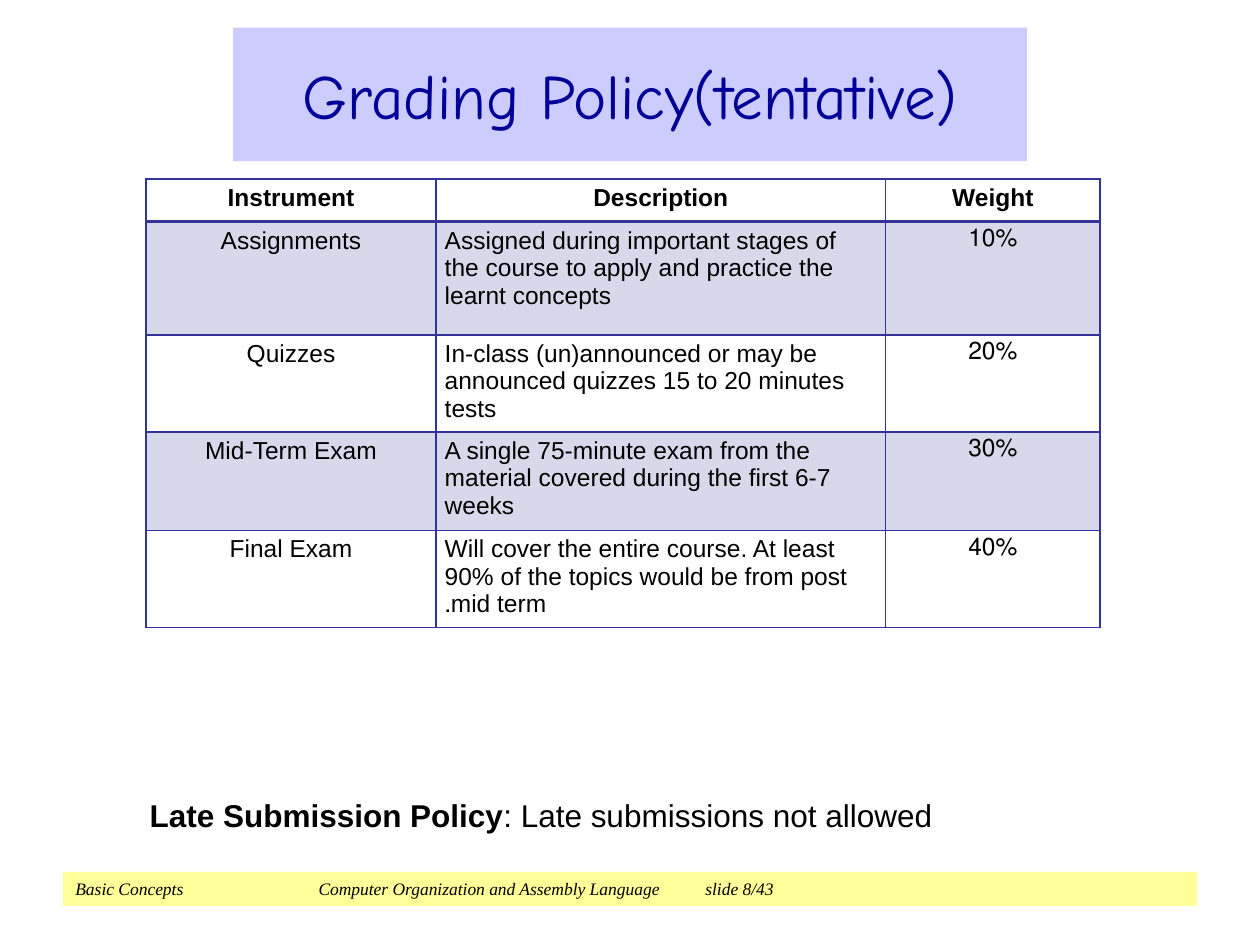
from lxml import etree
from pptx import Presentation
from pptx import util as u
from pptx.dml.color import RGBColor
from pptx.enum import shapes, text
from pptx.oxml.ns import qn

NAVY = "333399"
BLACK = "000000"
CENTER = text.PP_ALIGN.CENTER
LEFT = text.PP_ALIGN.LEFT
COLUMN_WIDTHS = (2.3, 3.57, 1.7)
ROW_HEIGHTS = (0.34, 0.9, 0.77, 0.78, 0.77)
GRADING_ROWS = (
    ("Instrument", "Description", "Weight"),
    ("Assignments", "Assigned during important stages of the course to apply "
     "and practice the learnt concepts", "10%"),
    ("Quizzes", "In-class (un)announced or may be announced quizzes "
     "15 to 20 minutes tests", "20%"),
    ("Mid-Term Exam", "A single 75-minute exam from the material covered "
     "during the first 6-7 weeks", "30%"),
    ("Final Exam", "Will cover the entire course. At least 90% of the topics "
     "would be from post mid term.", "40%"),
)


def color(value):
    return RGBColor.from_string(value)


def format_font(font, name, size, fill=BLACK, bold=False, italic=False):
    font.name = name
    font.size = u.Pt(size)
    font.color.rgb = color(fill)
    font.bold = bold
    font.italic = italic


def fill_solid(shape, value):
    shape.fill.solid()
    shape.fill.fore_color.rgb = color(value)


def add_footer(slide):
    bar = slide.shapes.add_shape(shapes.MSO_SHAPE.RECTANGLE, u.Inches(0.5),
                                 u.Inches(6.92), u.Inches(9), u.Inches(0.27))
    bar.shadow.inherit = False
    fill_solid(bar, "FFFF99")
    bar.line.fill.background()
    bar.text_frame.vertical_anchor = text.MSO_ANCHOR.MIDDLE
    paragraph = bar.text_frame.paragraphs[0]
    paragraph.text = ("Basic Concepts\tComputer Organization and Assembly "
                      "Language\tslide 8/43")
    paragraph.alignment = LEFT
    tab_list = etree.SubElement(paragraph._p.get_or_add_pPr(), qn("a:tabLst"))
    for position in (1.93, 5):
        etree.SubElement(tab_list, qn("a:tab"), pos=str(u.Inches(position)),
                         algn="l")
    for run in paragraph.runs:
        format_font(run.font, "Times New Roman", 10, italic=True)


def format_title(slide):
    title = slide.shapes.title
    title.left, title.top = u.Inches(1.85), u.Inches(0.22)
    title.width, title.height = u.Inches(6.3), u.Inches(1.06)
    fill_solid(title, "CCCCFF")
    title.text_frame.text = "Grading Policy(tentative)"
    title.text_frame.vertical_anchor = text.MSO_ANCHOR.MIDDLE
    paragraph = title.text_frame.paragraphs[0]
    paragraph.alignment = CENTER
    format_font(paragraph.runs[0].font, "Comic Neue", 36, "000099")


def set_borders(cell, top, bottom):
    """Draw all four edges; top and bottom are widths in points."""
    properties = cell._tc.get_or_add_tcPr()
    widths = {"lnL": 1, "lnR": 1, "lnT": top, "lnB": bottom}
    for index, (edge, width) in enumerate(widths.items()):
        line = etree.Element(qn(f"a:{edge}"), w=str(u.Pt(width)))
        fill = etree.SubElement(line, qn("a:solidFill"))
        etree.SubElement(fill, qn("a:srgbClr"), val=NAVY)
        properties.insert(index, line)


def shade(cell):
    """Fill the cell with navy at 19 % opacity."""
    fill_solid(cell, NAVY)
    rgb = cell._tc.tcPr.find(qn("a:solidFill")).find(qn("a:srgbClr"))
    etree.SubElement(rgb, qn("a:alpha"), val="19000")


def fill_cell(cell, wording, row, column):
    cell.margin_left = cell.margin_right = u.Inches(0.07)
    cell.margin_top = cell.margin_bottom = u.Inches(0.04)
    cell.text_frame.text = wording
    paragraph = cell.text_frame.paragraphs[0]
    paragraph.alignment = LEFT if row and column == 1 else CENTER
    if row in (0, 3, 4) or column == 2:
        paragraph._p.get_or_add_pPr().set("rtl", "1")
    format_font(paragraph.runs[0].font, "Arial", 14, bold=row == 0)
    if row % 2:
        shade(cell)
    else:
        cell.fill.background()
    set_borders(cell, 2 if row == 1 else 1, 2 if row == 0 else 1)


def add_grading_table(slide):
    table = slide.shapes.add_table(
        len(ROW_HEIGHTS), len(COLUMN_WIDTHS), u.Inches(1.16), u.Inches(1.42),
        u.Inches(sum(COLUMN_WIDTHS)), u.Inches(sum(ROW_HEIGHTS))).table
    table.first_row = table.horz_banding = False
    for column, width in zip(table.columns, COLUMN_WIDTHS):
        column.width = u.Inches(width)
    for row, height in zip(table.rows, ROW_HEIGHTS):
        row.height = u.Inches(height)
    for row, wordings in enumerate(GRADING_ROWS):
        for column, wording in enumerate(wordings):
            fill_cell(table.cell(row, column), wording, row, column)


def add_late_policy(slide):
    box = slide.shapes.add_textbox(u.Inches(1.09), u.Inches(6.27),
                                   u.Inches(6.47), u.Inches(0.4))
    box.text_frame.word_wrap = True
    paragraph = box.text_frame.paragraphs[0]
    for wording, bold in (("Late Submission Policy", True),
                          (": Late submissions not allowed", False)):
        run = paragraph.add_run()
        run.text = wording
        format_font(run.font, "Arial", 18, bold=bold)


def main():
    presentation = Presentation()
    presentation.slide_width = u.Inches(10)
    presentation.slide_height = u.Inches(7.5)
    slide = presentation.slides.add_slide(presentation.slide_layouts[5])
    add_footer(slide)
    format_title(slide)
    add_grading_table(slide)
    add_late_policy(slide)
    presentation.save("out.pptx")


if __name__ == "__main__":
    main()
